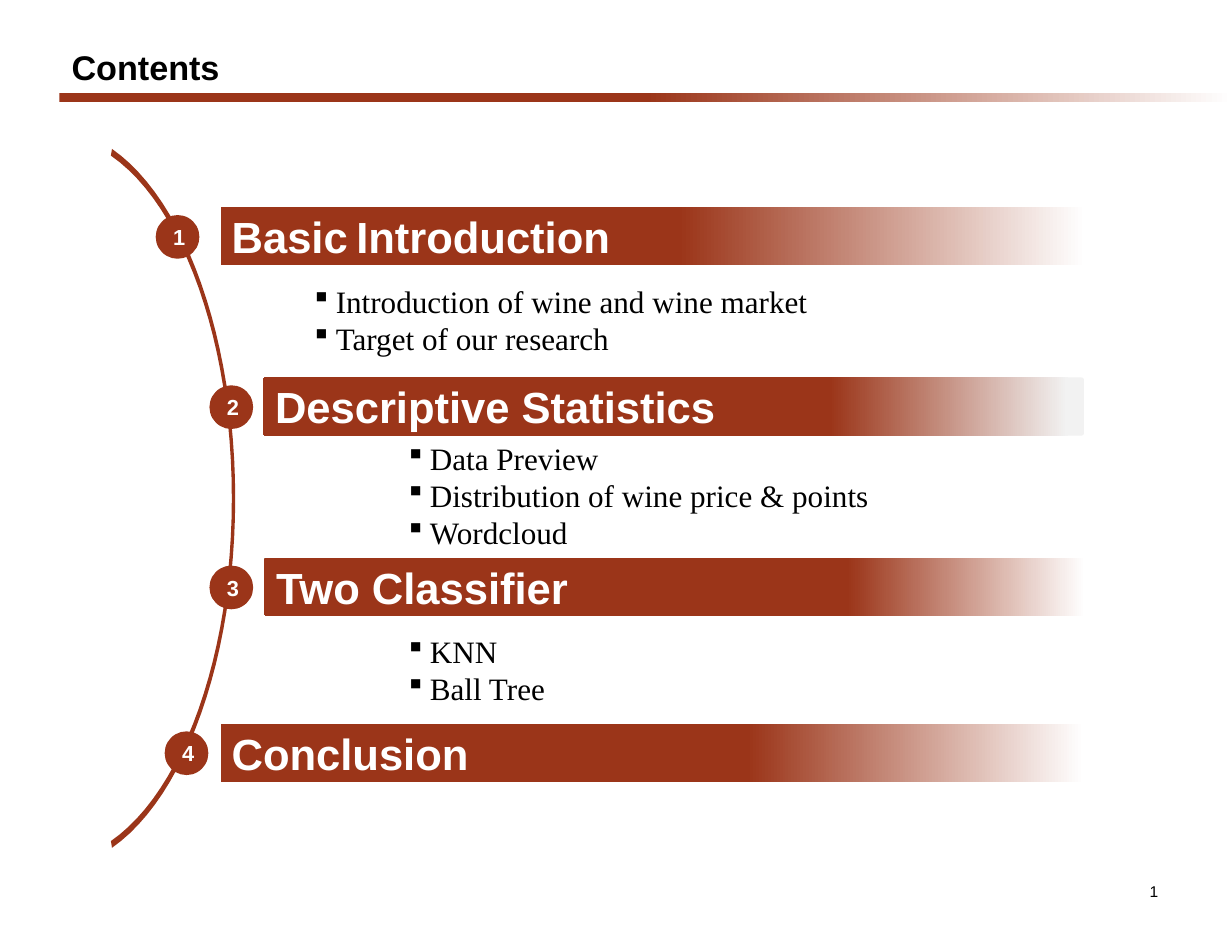
from lxml.etree import SubElement
from pptx import Presentation
from pptx.dml.color import RGBColor
from pptx.enum.shapes import MSO_SHAPE
from pptx.enum.text import MSO_ANCHOR, PP_ALIGN
from pptx.oxml import parse_xml
from pptx.oxml.ns import nsdecls, qn
from pptx.util import Inches, Pt

COLORS = {"brick": "9B3519", "white": "FFFFFF", "pale": "F2F2F2", "black": "000000"}
SECTIONS = [
    (1.97, 1.85, 7.72, 0, [("Basic", 28), (" ", 20), ("Introduction", 28)],
     [(0, "brick"), (53, "brick"), (100, "white")], 0),
    (2.35, 3.37, 7.33, 0.05, [("Descriptive Statistics", 28)],
     [(0, "pale"), (2, "pale"), (31, "brick"), (100, "brick")], 180),
    (2.36, 4.98, 7.33, 0.05, [("Two Classifier", 28)],
     [(0, "white"), (29, "brick"), (100, "brick")], 180),
    (1.97, 6.46, 7.71, 0, [("Conclusion", 28)],
     [(0, "white"), (39, "brick"), (100, "brick")], 180),
]
BADGE_LEFTS = [1.39, 1.87, 1.87, 1.47]
TOPICS = [
    (2.71, 2.59, ["Introduction of wine and wine market", "Target of our research"]),
    (3.55, 4.16, ["Data Preview", "Distribution of wine price & points", "Wordcloud"]),
    (3.55, 5.72, ["KNN", "Ball Tree"]),
]


def rgb(name):
    return RGBColor.from_string(COLORS[name])


def add_run(paragraph, text, size, color, font="Arial", bold=False):
    run = paragraph.add_run()
    run.text = text
    run.font.size = Pt(size)
    run.font.name = font
    run.font.bold = bold
    run.font.color.rgb = rgb(color)


def prepare_frame(shape, side=0.1, edge=0.05):
    frame = shape.text_frame
    frame.word_wrap = True
    frame.vertical_anchor = MSO_ANCHOR.MIDDLE
    frame.margin_left = frame.margin_right = Inches(side)
    frame.margin_top = frame.margin_bottom = Inches(edge)
    return frame


def add_solid(shape):
    shape.shadow.inherit = False
    shape.line.fill.background()
    shape.fill.solid()
    shape.fill.fore_color.rgb = rgb("brick")


def add_band(slide, kind, left, top, width, height, stops, angle=0):
    band = slide.shapes.add_shape(
        kind, Inches(left), Inches(top), Inches(width), Inches(height))
    add_solid(band)
    stop_xml = "".join(
        f'<a:gs pos="{place * 1000}"><a:srgbClr val="{COLORS[color]}"/></a:gs>'
        for place, color in stops)
    gradient = parse_xml(
        f'<a:gradFill {nsdecls("a")} rotWithShape="1"><a:gsLst>{stop_xml}</a:gsLst>'
        f'<a:lin ang="{angle * 60000}" scaled="0"/></a:gradFill>')
    properties = band.element.spPr
    properties.replace(properties.find(qn("a:solidFill")), gradient)
    return band


def add_heading(slide, left, top, width, corner, words, stops, angle):
    bar = add_band(
        slide, MSO_SHAPE.ROUNDED_RECTANGLE, left, top, width, 0.52, stops, angle)
    bar.adjustments[0] = corner
    paragraph = prepare_frame(bar).paragraphs[0]
    paragraph.alignment = PP_ALIGN.LEFT
    for text, size in words:
        add_run(paragraph, text, size, "white", bold=True)


def add_badge(slide, left, top, number):
    badge = slide.shapes.add_shape(
        MSO_SHAPE.OVAL, Inches(left), Inches(top), Inches(0.39), Inches(0.39))
    add_solid(badge)
    paragraph = prepare_frame(badge).paragraphs[0]
    paragraph.alignment = PP_ALIGN.CENTER
    add_run(paragraph, str(number), 14, "white", bold=True)


def add_label(slide, left, top, width, height, text, size, side, edge,
              align=PP_ALIGN.LEFT, bold=False):
    label = slide.shapes.add_textbox(
        Inches(left), Inches(top), Inches(width), Inches(height))
    paragraph = prepare_frame(label, side, edge).paragraphs[0]
    paragraph.alignment = align
    add_run(paragraph, text, size, "black", bold=bold)


def add_topics(slide, left, top, topics):
    box = slide.shapes.add_textbox(
        Inches(left), Inches(top), Inches(5.8), Inches(0.52))
    frame = prepare_frame(box)
    for index, topic in enumerate(topics):
        paragraph = frame.paragraphs[0] if index == 0 else frame.add_paragraph()
        properties = paragraph._p.get_or_add_pPr()
        properties.set("marL", str(Inches(0.19)))
        properties.set("indent", str(-Inches(0.19)))
        bullet_color = SubElement(properties, qn("a:buClr"))
        SubElement(bullet_color, qn("a:srgbClr"), val=COLORS["black"])
        SubElement(properties, qn("a:buFont"), typeface="Wingdings", charset="2")
        SubElement(properties, qn("a:buChar"), char="§")
        add_run(paragraph, topic, 20, "black", font="Times New Roman")


def curve_points(start, first, second, end, steps=24):
    for step in range(steps + 1):
        t = step / steps
        weights = ((1 - t) ** 3, 3 * t * (1 - t) ** 2, 3 * t * t * (1 - t), t ** 3)
        yield tuple(
            sum(weight * value for weight, value in zip(weights, values))
            for values in zip(start, first, second, end))


def add_arc(slide):
    middle = 4.45
    inner = list(curve_points((0.99, 1.39), (1.64, 1.84), (2.07, 3.07), (2.07, middle)))
    outer = list(curve_points((1, 1.33), (1.66, 1.79), (2.1, 3.04), (2.1, middle)))

    def mirrored(points):
        return [(x, 2 * middle - y) for x, y in reversed(points)]

    outline = inner + mirrored(inner) + (outer + mirrored(outer))[::-1]
    corners = [(Inches(x), Inches(y)) for x, y in outline]
    builder = slide.shapes.build_freeform(*corners[0])
    builder.add_line_segments(corners[1:], close=True)
    add_solid(builder.convert_to_shape())


def main():
    deck = Presentation()
    deck.slide_width, deck.slide_height = Inches(11), Inches(8.5)
    slide = deck.slides.add_slide(deck.slide_layouts[6])
    add_label(slide, 9.83, 7.82, 0.59, 0.28, "1", 10, 0.08, 0.02, PP_ALIGN.RIGHT)
    add_band(slide, MSO_SHAPE.RECTANGLE, 0.53, 0.83, 10.47, 0.08,
             [(0, "brick"), (50, "brick"), (100, "white")])
    add_label(slide, 0.53, 0.36, 4.23, 0.47, "Contents", 22, 0.11, 0.06, bold=True)
    add_arc(slide)
    for number, (section, badge_left) in enumerate(zip(SECTIONS, BADGE_LEFTS), 1):
        add_heading(slide, *section)
        add_badge(slide, badge_left, section[1] + 0.07, number)
    for left, top, topics in TOPICS:
        add_topics(slide, left, top, topics)
    deck.save("out.pptx")


if __name__ == "__main__":
    main()
